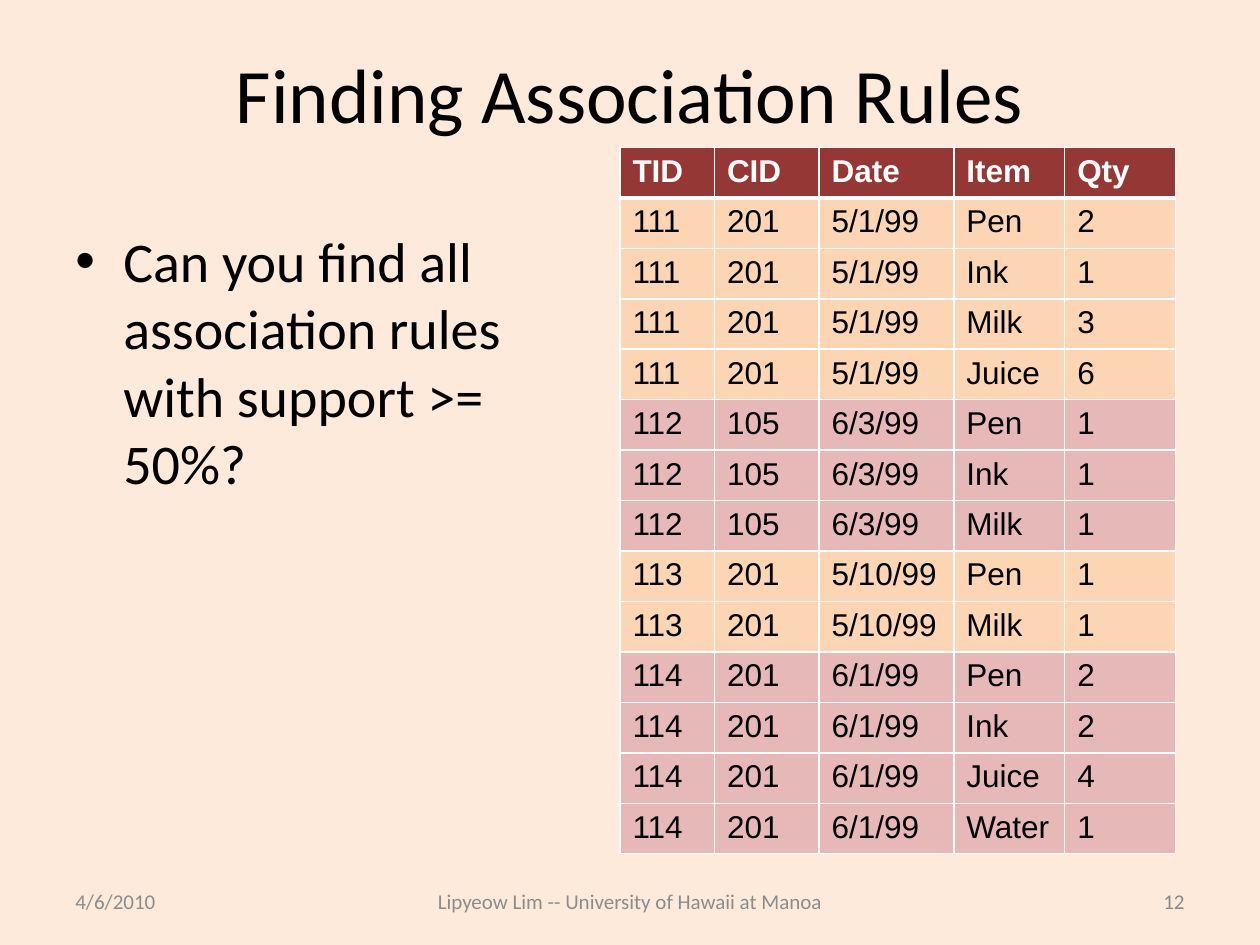
from dataclasses import dataclass

from lxml.etree import SubElement
from pptx import Presentation
from pptx.dml.color import RGBColor
from pptx.enum.text import MSO_ANCHOR, PP_ALIGN
from pptx.oxml.ns import qn
from pptx.util import Inches, Pt


@dataclass(frozen=True)
class Theme:
    background: str = "FDEADA"
    ink: str = "000000"
    white: str = "FFFFFF"
    footer: str = "8C8C8C"
    page_number: str = "898989"
    header_fill: str = "953735"
    odd_fill: str = "FCD5B5"
    even_fill: str = "E6B9B8"
    text_font: str = "Calibri"
    table_font: str = "Arial"
    title_size: int = 44
    body_size: int = 32
    table_size: int = 18
    footer_size: int = 12


THEME = Theme()
WIDTH, HEIGHT = 10, 7.5
MARGIN = 0.5
CONTENT_WIDTH = WIDTH - 2 * MARGIN

HEADERS = ("TID", "CID", "Date", "Item", "Qty")
COLUMN_WIDTHS = (0.75, 0.83, 1.07, 0.88, 0.88)
ROW_HEIGHT = 0.4
# Each transaction: TID, CID, date, then its items with quantities
TRANSACTIONS = (
    (111, 201, "5/1/99", (("Pen", 2), ("Ink", 1), ("Milk", 3), ("Juice", 6))),
    (112, 105, "6/3/99", (("Pen", 1), ("Ink", 1), ("Milk", 1))),
    (113, 201, "5/10/99", (("Pen", 1), ("Milk", 1))),
    (114, 201, "6/1/99", (("Pen", 2), ("Ink", 2), ("Juice", 4), ("Water", 1))),
)


def add_run(paragraph, text, size, color, font=THEME.text_font, bold=False):
    run = paragraph.add_run()
    run.text = text
    run.font.name = font
    run.font.size = Pt(size)
    run.font.bold = bold
    run.font.color.rgb = RGBColor.from_string(color)


def add_text(slide, box, text, size, color,
             align=PP_ALIGN.LEFT, anchor=MSO_ANCHOR.MIDDLE):
    shape = slide.shapes.add_textbox(*map(Inches, box))
    frame = shape.text_frame
    frame.word_wrap = True
    frame.vertical_anchor = anchor
    paragraph = frame.paragraphs[0]
    paragraph.alignment = align
    add_run(paragraph, text, size, color)
    return paragraph


def add_bullet(paragraph, indent):
    properties = paragraph._p.get_or_add_pPr()
    properties.set("marL", str(Inches(indent)))
    properties.set("indent", str(-Inches(indent)))
    SubElement(properties, qn("a:buFont"), typeface="Arial")
    SubElement(properties, qn("a:buChar"), char="•")


def add_border(cell, side, points):
    line = SubElement(cell._tc.get_or_add_tcPr(), qn(f"a:ln{side}"), w=str(Pt(points)))
    fill = SubElement(line, qn("a:solidFill"))
    SubElement(fill, qn("a:srgbClr"), val=THEME.white)


def fill_row(table, row_index, values, fill, color, bold=False):
    # The rule under the header row is thicker than the others
    top = 3 if row_index == 1 else 1
    bottom = 3 if row_index == 0 else 1
    for column_index, value in enumerate(values):
        cell = table.cell(row_index, column_index)
        for side, points in (("L", 1), ("R", 1), ("T", top), ("B", bottom)):
            add_border(cell, side, points)
        cell.fill.solid()
        cell.fill.fore_color.rgb = RGBColor.from_string(fill)
        add_run(cell.text_frame.paragraphs[0], str(value), THEME.table_size,
                color, THEME.table_font, bold)


def add_transaction_table(slide, left, top):
    rows = [(tid, cid, date, item, quantity)
            for tid, cid, date, items in TRANSACTIONS
            for item, quantity in items]
    row_count = len(rows) + 1
    table = slide.shapes.add_table(
        row_count, len(HEADERS), Inches(left), Inches(top),
        Inches(sum(COLUMN_WIDTHS)), Inches(ROW_HEIGHT * row_count)).table
    for column, width in zip(table.columns, COLUMN_WIDTHS):
        column.width = Inches(width)
    for row in table.rows:
        row.height = Inches(ROW_HEIGHT)

    fill_row(table, 0, HEADERS, THEME.header_fill, THEME.white, bold=True)
    for row_index, values in enumerate(rows, start=1):
        # Shade by transaction: odd and even TIDs alternate
        fill = THEME.odd_fill if values[0] % 2 else THEME.even_fill
        fill_row(table, row_index, values, fill, THEME.ink)


def add_footer(slide):
    top, height = 6.95, 0.4
    side, middle = 2.33, 4
    parts = (
        (MARGIN, side, "4/6/2010", PP_ALIGN.LEFT, THEME.footer),
        ((WIDTH - middle) / 2, middle, "Lipyeow Lim -- University of Hawaii at Manoa",
         PP_ALIGN.CENTER, THEME.footer),
        (WIDTH - MARGIN - side, side, "12", PP_ALIGN.RIGHT, THEME.page_number),
    )
    for left, width, text, align, color in parts:
        add_text(slide, (left, top, width, height), text,
                 THEME.footer_size, color, align)


def main():
    presentation = Presentation()
    presentation.slide_width = Inches(WIDTH)
    presentation.slide_height = Inches(HEIGHT)
    slide = presentation.slides.add_slide(presentation.slide_layouts[6])
    slide.background.fill.solid()
    slide.background.fill.fore_color.rgb = RGBColor.from_string(THEME.background)

    # Title
    add_text(slide, (MARGIN, 0.3, CONTENT_WIDTH, 0.87), "Finding Association Rules",
             THEME.title_size, THEME.ink, PP_ALIGN.CENTER)

    # Question
    question = add_text(slide, (MARGIN, 1.75, 4.08, 4.95),
                        "Can you find all association rules with support >= 50%?",
                        THEME.body_size, THEME.ink, anchor=MSO_ANCHOR.TOP)
    add_bullet(question, 0.38)

    # Footer and transactions
    add_footer(slide)
    add_transaction_table(slide, 4.92, 1.17)

    presentation.save("out.pptx")


if __name__ == "__main__":
    main()
